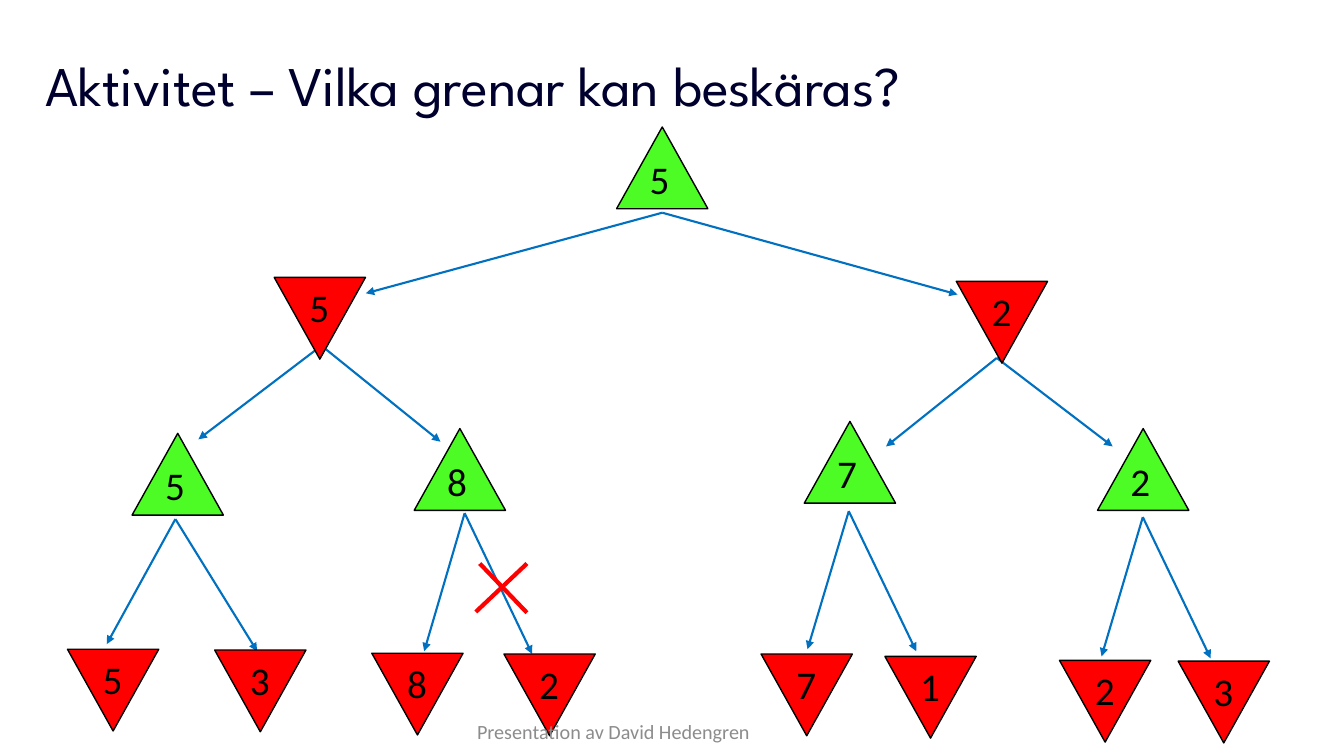
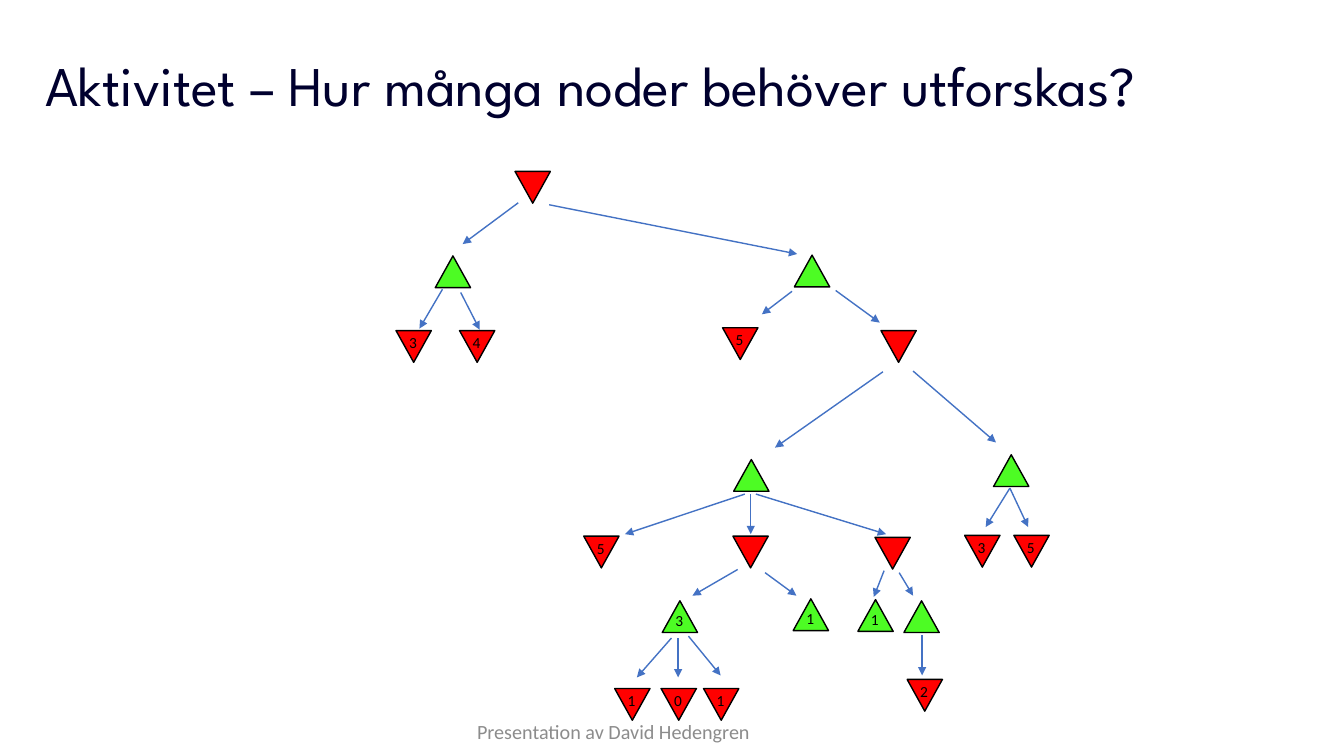
from dataclasses import dataclass
from typing import NamedTuple

from lxml.etree import SubElement
from pptx import Presentation
from pptx.dml.color import RGBColor
from pptx.enum.shapes import MSO_CONNECTOR, MSO_SHAPE
from pptx.enum.text import MSO_ANCHOR, MSO_AUTO_SIZE, PP_ALIGN
from pptx.oxml.ns import qn
from pptx.util import Cm, Pt


# Theme: every colour, font and type size
@dataclass(frozen=True)
class Theme:
    ink: str = "00002E"
    black: str = "000000"
    grey: str = "8C8C8C"
    red: str = "FF0000"
    green: str = "4DFC24"
    blue: str = "0070C0"
    steel: str = "4472C4"
    head: str = "League Spartan"
    body: str = "Calibri"
    title: float = 40
    lead: float = 63.8
    foot: float = 14.4
    large: float = 28
    small: float = 11


THEME = Theme()


class Point(NamedTuple):
    x: float
    y: float


class Box(NamedTuple):
    x: float
    y: float
    w: float
    h: float


class Node(NamedTuple):
    """A triangle: max nodes point up, min nodes point down."""
    x: float
    y: float
    up: bool
    text: str = ""


class Edge(NamedTuple):
    start: Point
    end: Point


@dataclass(frozen=True)
class Style:
    """Sizes of a tree's nodes, labels and arrows, in cm and points."""
    w: float
    h: float
    tag: Point       # label size
    rise: Point      # label offset in a node pointing up
    drop: Point      # label offset in a node pointing down
    size: float
    line: str
    width: float


@dataclass(frozen=True)
class Tree:
    title: str
    style: Style
    nodes: list[Node]
    edges: list[Edge]
    cross: tuple[Edge, ...] = ()


TITLE = Box(1.14, 0.71, 32.49, 2.72)
FOOT = Box(7.7, 17.83, 15.52, 1.22)
BIG = Style(2.3, 2.06, Point(1.47, 1.45), Point(0.58, 0.59), Point(0.64, 0.03),
            THEME.large, THEME.blue, 1.5)
TINY = Style(0.89, 0.8, Point(1, 0.74), Point(0.08, 0.13), Point(0.08, -0.06),
             THEME.small, THEME.steel, 1)


def fan(x: float, y: float, *ends: tuple[float, float]) -> list[Edge]:
    """Arrows from one point to several ends."""
    return [Edge(Point(x, y), Point(*end)) for end in ends]


# Content
PRUNE = Tree(
    "Aktivitet – Vilka grenar kan beskäras?", BIG,
    nodes=[
        Node(15.54, 3.2, True, "5"),
        Node(6.91, 6.99, False, "5"),
        Node(24.1, 7.09, False, "2"),
        Node(3.33, 10.92, True, "5"),
        Node(10.44, 10.8, True, "8"),
        Node(20.27, 10.62, True, "7"),
        Node(27.66, 10.8, True, "2"),
        Node(1.7, 16.36, False, "5"),
        Node(5.41, 16.38, False, "3"),
        Node(9.37, 16.46, False, "8"),
        Node(12.7, 16.48, False, "2"),
        Node(19.18, 16.48, False, "7"),
        Node(22.3, 16.54, False, "1"),
        Node(26.7, 16.64, False, "2"),
        Node(29.69, 16.66, False, "3"),
    ],
    edges=[
        *fan(16.69, 5.36, (9.22, 7.39), (24.13, 7.42)),
        *fan(8.1, 8.71, (5, 11.07), (11.1, 11.13)),
        *fan(25.12, 9.02, (22.33, 11.25), (28.04, 11.25)),
        *fan(4.42, 13.08, (2.69, 16.23), (6.48, 16.41)),
        *fan(11.71, 12.93, (10.69, 16.41), (13.41, 16.48)),
        *fan(21.39, 12.88, (20.35, 16.36), (23.09, 16.41)),
        *fan(28.8, 13.03, (27.76, 16.54), (30.51, 16.59)),
    ],
    cross=(Edge(Point(11.99, 15.42), Point(13.28, 14.2)),
           Edge(Point(13.28, 15.44), Point(12.09, 14.2))),
)

COUNT = Tree(
    "Aktivitet – Hur många noder behöver utforskas?", TINY,
    nodes=[
        Node(12.98, 4.32, False),
        Node(10.97, 6.45, True),
        Node(20.02, 6.43, True),
        Node(9.98, 8.33, False, "3"),
        Node(11.58, 8.33, False, "4"),
        Node(18.21, 8.26, False, "5"),
        Node(22.2, 8.33, False),
        Node(18.49, 11.58, True),
        Node(25.04, 11.46, True),
        Node(14.71, 13.51, False, "5"),
        Node(18.47, 13.51, False),
        Node(22.05, 13.54, False),
        Node(24.31, 13.49, False, "3"),
        Node(25.55, 13.49, False, "5"),
        Node(16.69, 15.14, True, "3"),
        Node(19.99, 15.09, True, "1"),
        Node(21.62, 15.11, True, "1"),
        Node(22.78, 15.14, True),
        Node(15.49, 17.35, False, "1"),
        Node(16.66, 17.35, False, "0"),
        Node(17.73, 17.35, False, "1"),
        Node(22.86, 17.12, False, "2"),
    ],
    edges=[
        *fan(13.06, 5.11, (11.66, 6.15)),
        *fan(13.84, 5.16, (20.09, 6.4)),
        *fan(11.15, 7.29, (10.57, 8.28)),
        *fan(11.61, 7.37, (12.09, 8.31)),
        *fan(19.96, 7.34, (19.2, 7.92)),
        *fan(21.06, 7.32, (22.17, 8.13)),
        *fan(22.25, 9.37, (19.53, 11.28)),
        *fan(23.01, 9.35, (25.1, 11.15)),
        *fan(18.77, 12.45, (15.75, 13.46)),
        *fan(18.92, 12.45, (18.92, 13.46)),
        *fan(19.05, 12.45, (22.33, 13.46)),
        *fan(25.45, 12.3, (24.84, 13.28), (25.91, 13.28)),
        *fan(18.59, 14.35, (17.45, 15.01)),
        *fan(19.28, 14.43, (20.07, 15.01)),
        *fan(22.28, 14.38, (22.02, 15.04)),
        *fan(22.66, 14.43, (23.01, 15.01)),
        *fan(16.92, 16.08, (16.05, 17.07)),
        *fan(17.09, 16.08, (17.09, 17.07)),
        *fan(17.35, 16.03, (18.16, 17.02)),
        *fan(23.24, 16, (23.24, 17.02)),
    ],
)


# Drawing
def tint(code: str) -> RGBColor:
    return RGBColor.from_string(code)


def write(shape, text: str, *, size: float, color: str = THEME.black,
          font: str = THEME.body, align=PP_ALIGN.LEFT, anchor=MSO_ANCHOR.TOP,
          lead: float | None = None, inset: float | None = None) -> None:
    """Put one formatted paragraph in a shape."""
    frame = shape.text_frame
    frame.word_wrap = True
    frame.auto_size = MSO_AUTO_SIZE.NONE
    frame.vertical_anchor = anchor
    if inset is not None:
        frame.margin_left = frame.margin_right = Cm(inset)
        frame.margin_top = frame.margin_bottom = Cm(inset)
    para = frame.paragraphs[0]
    para.alignment = align
    if lead is not None:
        para.line_spacing = Pt(lead)
    run = para.add_run()
    run.text = text
    run.font.size = Pt(size)
    run.font.name = font
    run.font.color.rgb = tint(color)


def add_text(slide, box: Box, text: str, **form) -> None:
    write(slide.shapes.add_textbox(*map(Cm, box)), text, **form)


def add_line(slide, edge: Edge, color: str, width: float,
             arrow: bool = True) -> None:
    link = slide.shapes.add_connector(
        MSO_CONNECTOR.STRAIGHT, *map(Cm, (*edge.start, *edge.end)))
    link.line.color.rgb = tint(color)
    link.line.width = Pt(width)
    if arrow:
        SubElement(link.line._get_or_add_ln(), qn("a:tailEnd"), type="triangle")
    SubElement(link._element.spPr, qn("a:effectLst"))


def add_node(slide, node: Node, style: Style) -> None:
    shape = slide.shapes.add_shape(
        MSO_SHAPE.ISOSCELES_TRIANGLE,
        *map(Cm, (node.x, node.y, style.w, style.h)))
    shape.shadow.inherit = False
    shape.rotation = 0 if node.up else 180
    shape.fill.solid()
    shape.fill.fore_color.rgb = tint(THEME.green if node.up else THEME.red)
    shape.line.color.rgb = tint(THEME.black)
    shape.line.width = Pt(1)
    if node.text:
        shift = style.rise if node.up else style.drop
        box = Box(node.x + shift.x, node.y + shift.y, *style.tag)
        add_text(slide, box, node.text, size=style.size)


def add_tree(deck, tree: Tree) -> None:
    slide = deck.slides.add_slide(deck.slide_layouts.get_by_name("Title Only"))
    # Title
    title = slide.shapes.title
    title.left, title.top, title.width, title.height = map(Cm, TITLE)
    write(title, tree.title, size=THEME.title, color=THEME.ink,
          font=THEME.head, lead=THEME.lead, inset=0)
    # Arrows, pruning cross and nodes
    for edge in tree.edges:
        add_line(slide, edge, tree.style.line, tree.style.width)
    for edge in tree.cross:
        add_line(slide, edge, THEME.red, 3, arrow=False)
    for node in tree.nodes:
        add_node(slide, node, tree.style)
    # Footer
    add_text(slide, FOOT, "Presentation av David Hedengren", size=THEME.foot,
             color=THEME.grey, align=PP_ALIGN.CENTER, anchor=MSO_ANCHOR.MIDDLE)


def main() -> None:
    deck = Presentation()
    deck.slide_width, deck.slide_height = Cm(33.87), Cm(19.05)
    for tree in (PRUNE, COUNT):
        add_tree(deck, tree)
    deck.save("out.pptx")


if __name__ == "__main__":
    main()
